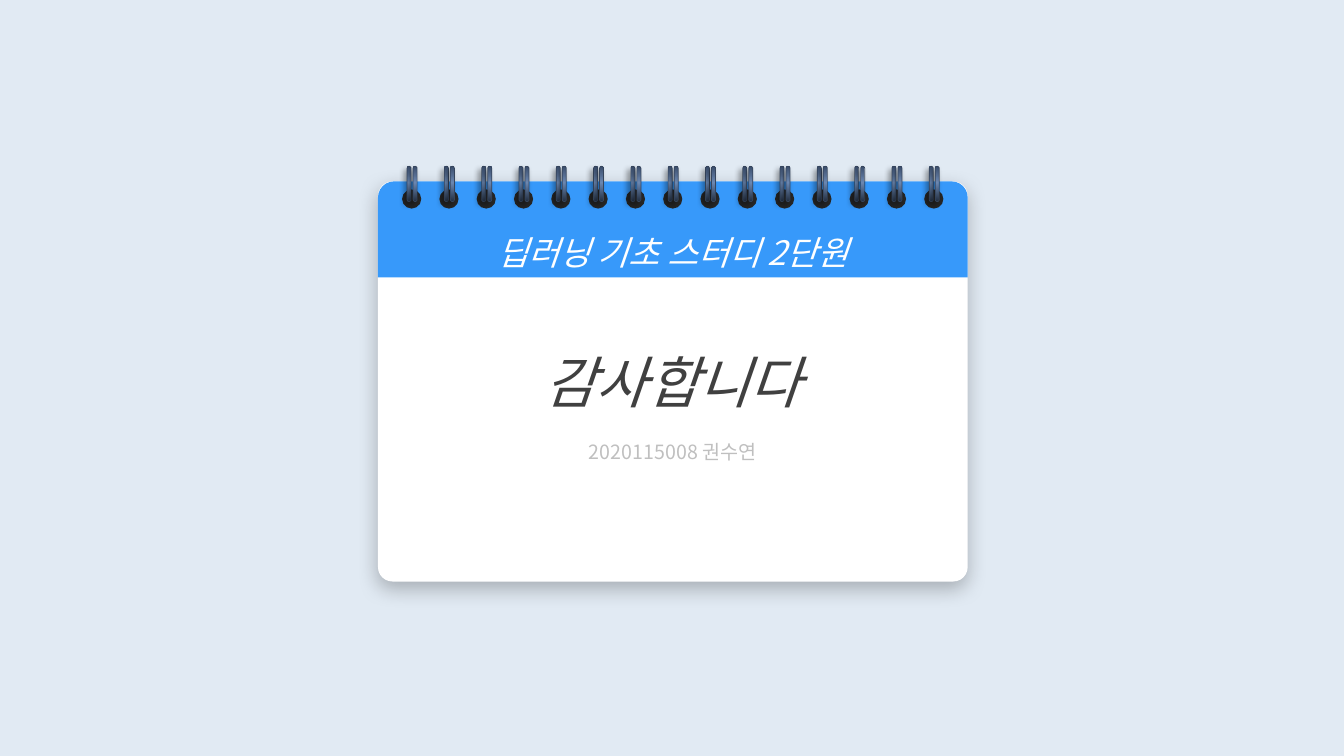
import pptx
import pptx.dml.color
import pptx.enum.shapes
import pptx.enum.text
import pptx.oxml
import pptx.oxml.ns
import pptx.util
from lxml import etree

Pt = pptx.util.Pt
RGBColor = pptx.dml.color.RGBColor
SHAPES = pptx.enum.shapes.MSO_SHAPE

# Content
HEADING = "딥러닝 기초 스터디 2단원"
THANKS = "감사합니다"
AUTHOR = "2020115008 권수연"

# Look
FONT = "Noto Sans CJK KR"
BACKDROP = RGBColor(0xE1, 0xEA, 0xF3)
WHITE = RGBColor(0xFF, 0xFF, 0xFF)
BLUE = RGBColor(0x37, 0x99, 0xFA)
CHARCOAL = RGBColor(0x40, 0x40, 0x40)
SILVER = RGBColor(0xBF, 0xBF, 0xBF)
HOLE = RGBColor(0x26, 0x26, 0x26)
WIRE_EDGE = RGBColor(0x36, 0x45, 0x5C)
WIRE_STOPS = [
    (0, RGBColor(0x22, 0x2E, 0x40)),
    (54, RGBColor(0x6B, 0x87, 0xB1)),
    (100, RGBColor(0x3A, 0x4D, 0x6B)),
]

# Layout, in points
CARD_LEFT, CARD_TOP, CARD_WIDTH, CARD_HEIGHT = 270, 129.6, 421.2, 285.8
HEADER_HEIGHT = 68.6
RING_COUNT, RING_LEFT, RING_PITCH = 15, 287.2, 26.64
HOLE_TOP, HOLE_SIZE = 135.3, 13.7
WIRE_TOP, WIRE_WIDTH, WIRE_HEIGHT = 118.8, 2.9, 25.2
WIRE_OFFSETS = [3.6, 7.9]


def add_figure(parent, kind, left, top, width, height, color=None):
    shape = parent.shapes.add_shape(kind, Pt(left), Pt(top), Pt(width), Pt(height))
    shape.shadow.inherit = False
    shape.line.fill.background()
    if color is not None:
        shape.fill.solid()
        shape.fill.fore_color.rgb = color
    return shape


def add_shadow(shape, opacity, blur, distance, angle):
    effects = shape.element.spPr.find(pptx.oxml.ns.qn("a:effectLst"))
    effects.append(pptx.oxml.parse_xml(
        f'<a:outerShdw {pptx.oxml.ns.nsdecls("a")} blurRad="{Pt(blur)}" '
        f'dist="{Pt(distance)}" dir="{angle * 60000}" algn="ctr" rotWithShape="0">'
        f'<a:srgbClr val="000000"><a:alpha val="{opacity * 1000}"/></a:srgbClr>'
        "</a:outerShdw>"))


def fill_wire(shape):
    shape.fill.gradient()
    shape.fill.gradient_angle = 90
    stops = shape.element.spPr.find(".//" + pptx.oxml.ns.qn("a:gsLst"))
    for stop in list(stops):
        stops.remove(stop)
    for position, color in WIRE_STOPS:
        stop = etree.SubElement(stops, pptx.oxml.ns.qn("a:gs"), pos=str(position * 1000))
        etree.SubElement(stop, pptx.oxml.ns.qn("a:srgbClr"), val=str(color))


def write(para, text, size, color, italic=False, line_spacing=None, space_before=None):
    para.alignment = pptx.enum.text.PP_ALIGN.CENTER
    para.line_spacing = line_spacing
    if space_before is not None:
        para.space_before = Pt(space_before)
    span = para.add_run()
    span.text = text
    span.font.name = FONT
    span.font.size = Pt(size)
    span.font.italic = italic
    span.font.color.rgb = color
    etree.SubElement(span.font._element, pptx.oxml.ns.qn("a:ea"), typeface=FONT)


deck = pptx.Presentation()
deck.slide_width, deck.slide_height = Pt(960), Pt(540)
page = deck.slides.add_slide(deck.slide_layouts[6])
page.background.fill.solid()
page.background.fill.fore_color.rgb = BACKDROP

# Card with the message
card = add_figure(page, SHAPES.ROUNDED_RECTANGLE,
                  CARD_LEFT, CARD_TOP, CARD_WIDTH, CARD_HEIGHT, WHITE)
card.adjustments[0] = 0.036
add_shadow(card, opacity=26, blur=15, distance=5, angle=90)
box = card.text_frame
box.vertical_anchor = pptx.enum.text.MSO_ANCHOR.MIDDLE
box.margin_top, box.margin_bottom = Pt(35), Pt(0)
write(box.paragraphs[0], THANKS, size=40, color=CHARCOAL, italic=True)
write(box.add_paragraph(), AUTHOR, size=14, color=SILVER, space_before=18)

# Blue header
header = add_figure(page, SHAPES.ROUND_2_SAME_RECTANGLE,
                    CARD_LEFT, CARD_TOP, CARD_WIDTH, HEADER_HEIGHT, BLUE)
header.text_frame.vertical_anchor = pptx.enum.text.MSO_ANCHOR.MIDDLE
write(header.text_frame.paragraphs[0], HEADING, size=24, color=WHITE,
      italic=True, line_spacing=2.0)

# Binding rings: a hole and two wires each
for index in range(RING_COUNT):
    left = RING_LEFT + index * RING_PITCH
    ring = page.shapes.add_group_shape()
    add_figure(ring, SHAPES.OVAL, left, HOLE_TOP, HOLE_SIZE, HOLE_SIZE, HOLE)
    for offset in WIRE_OFFSETS:
        wire = add_figure(ring, SHAPES.ROUNDED_RECTANGLE,
                          left + offset, WIRE_TOP, WIRE_WIDTH, WIRE_HEIGHT)
        wire.adjustments[0] = 0.5
        fill_wire(wire)
        wire.line.color.rgb = WIRE_EDGE
        wire.line.width = Pt(0.5)
        add_shadow(wire, opacity=40, blur=4, distance=3, angle=135)

deck.save("out.pptx")
